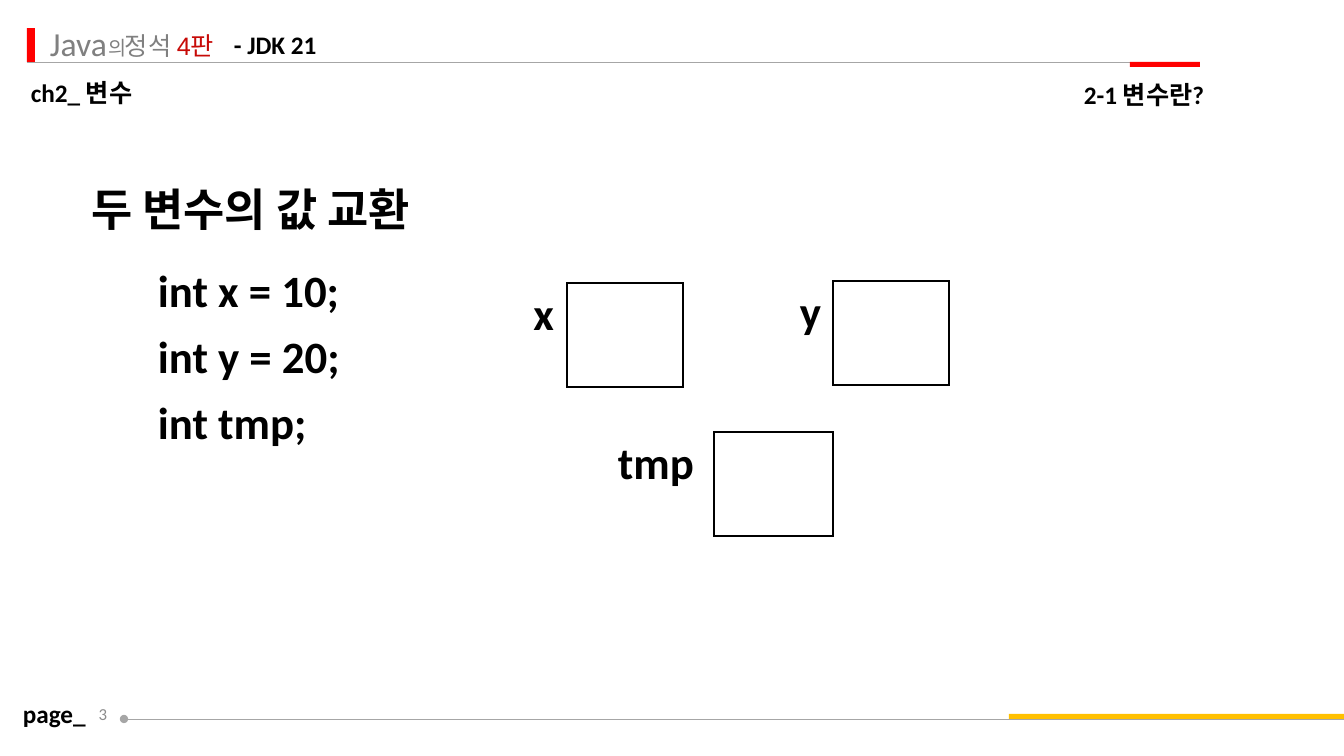
from pptx import Presentation
from pptx.dml.color import RGBColor
from pptx.enum.shapes import MSO_SHAPE as Geo, MSO_CONNECTOR as Link
from pptx.enum.text import MSO_ANCHOR as Anc, PP_ALIGN as Al
from pptx.oxml.ns import qn
from pptx.util import Pt
from lxml.etree import SubElement as Sub

SCALE = 914400 / 100.8
BLACK, GRAY, RED, WHITE = "000000", "808080", "FF0000", "FFFFFF"
BOLD = dict(name="Calibri", size=Pt(18), bold=True)
HEAD = dict(BOLD, size=Pt(32))
KOR = dict(name="Arial", size=Pt(18), bold=False)
LATIN = dict(name="Calibri", size=Pt(24), bold=False)

TITLE = ("두 변수의 값 교환", (81, 177, 638, 65))
LINES = [((27, 62), (1200, 62), False), ((124, 719), (1344, 719), True)]
BARS = [
    ((27, 28, 8, 34), RED),
    ((1130, 62, 70, 5), RED),
    ((1009, 714, 335, 5), "FFC000"),
]
LABELS = [
    ((115, 25, 180, 40), [("정석 ", GRAY), ("4판", "C70A07")], KOR, Al.LEFT),
    ((224, 24, 131, 40), [("- JDK 21", BLACK)], BOLD, Al.LEFT),
    ((40, 18, 91, 50), [("Java", GRAY)], LATIN, Al.LEFT),
    ((99, 31, 42, 34), [("의", GRAY)], dict(KOR, size=Pt(14)), Al.LEFT),
    ((21, 72, 533, 40), [("ch2_ 변수", BLACK)], BOLD, Al.LEFT),
    ((952, 74, 262, 40), [("2-1 변수란?", BLACK)], BOLD, Al.RIGHT),
    ((13, 693, 90, 40), [("page_", BLACK)], BOLD, Al.LEFT),
    ((72, 699, 45, 34), [("3", "8C8C8C")], dict(LATIN, size=Pt(12)), Al.RIGHT),
]
CODE = ["int x = 10;", "int y = 20;", "int tmp;"]
CODE_X, CODE_Y, CODE_GAP = 148, 258, 66
CELL_H = 104
VARS = [
    ("x", 494, 283, (73, 116), 13),
    ("y", 760, 281, (73, 116), 12),
    ("tmp", 579, 432, (135, 119), 20),
]
EDGES = [("lnL", WHITE, 1), ("lnR", BLACK, 1), ("lnT", WHITE, 1), ("lnB", WHITE, 3)]
FRAME = [(tag, BLACK, 1) for tag, _, _ in EDGES]


def px(n):
    return round(n * SCALE)


def box(vals):
    return [px(n) for n in vals]


def rgb(code):
    return RGBColor.from_string(code)


def write(frame, runs, style, align=Al.LEFT):
    frame.word_wrap = True
    para = frame.paragraphs[0]
    para.alignment = align
    for text, color in runs:
        run = para.add_run()
        run.text = text
        for key, val in style.items():
            setattr(run.font, key, val)
        run.font.color.rgb = rgb(color)


def label(area, runs, style, align=Al.LEFT):
    write(slide.shapes.add_textbox(*box(area)).text_frame, runs, style, align)


def rule(start, end, dot):
    line = slide.shapes.add_connector(Link.STRAIGHT, *box(start + end))
    line.line.color.rgb = rgb("A6A6A6")
    line.line.width = Pt(0.5)
    props = line._element.spPr
    if dot:
        Sub(props.find(qn("a:ln")), qn("a:headEnd"), type="oval")
    Sub(props, qn("a:effectLst"))


def bar(area, color):
    shape = slide.shapes.add_shape(Geo.RECTANGLE, *box(area))
    shape.shadow.inherit = False
    shape.fill.solid()
    shape.fill.fore_color.rgb = rgb(color)
    shape.line.fill.background()


def border(cell, edges):
    props = cell._tc.get_or_add_tcPr()
    for tag, color, width in edges:
        edge = Sub(props, qn("a:" + tag), w=str(Pt(width)))
        Sub(Sub(edge, qn("a:solidFill")), qn("a:srgbClr"), val=color)
    cell.fill.background()


def memory(name, left, top, widths, gap):
    area = box((left, top, sum(widths), CELL_H))
    table = slide.shapes.add_table(1, 2, *area).table
    table.first_row = table.horz_banding = False
    for col, width in zip(table.columns, widths):
        col.width = px(width)
    name_cell, value_cell = table.cell(0, 0), table.cell(0, 1)
    border(name_cell, EDGES)
    border(value_cell, FRAME)
    name_cell.margin_left = 0
    name_cell.margin_right = px(gap)
    write(name_cell.text_frame, [(name, BLACK)], HEAD, Al.RIGHT)


deck = Presentation()
deck.slide_width, deck.slide_height = px(1344), px(756)
slide = deck.slides.add_slide(deck.slide_layouts[5])

title = slide.shapes.title
text, area = TITLE
title.left, title.top, title.width, title.height = box(area)
title.text_frame.vertical_anchor = Anc.TOP
write(title.text_frame, [(text, BLACK)], HEAD)

for item in LINES:
    rule(*item)
for item in BARS:
    bar(*item)
for item in LABELS:
    label(*item)
for i, text in enumerate(CODE):
    label((CODE_X, CODE_Y + i * CODE_GAP, 423, 65), [(text, BLACK)], HEAD)
for item in VARS:
    memory(*item)

deck.save("out.pptx")
